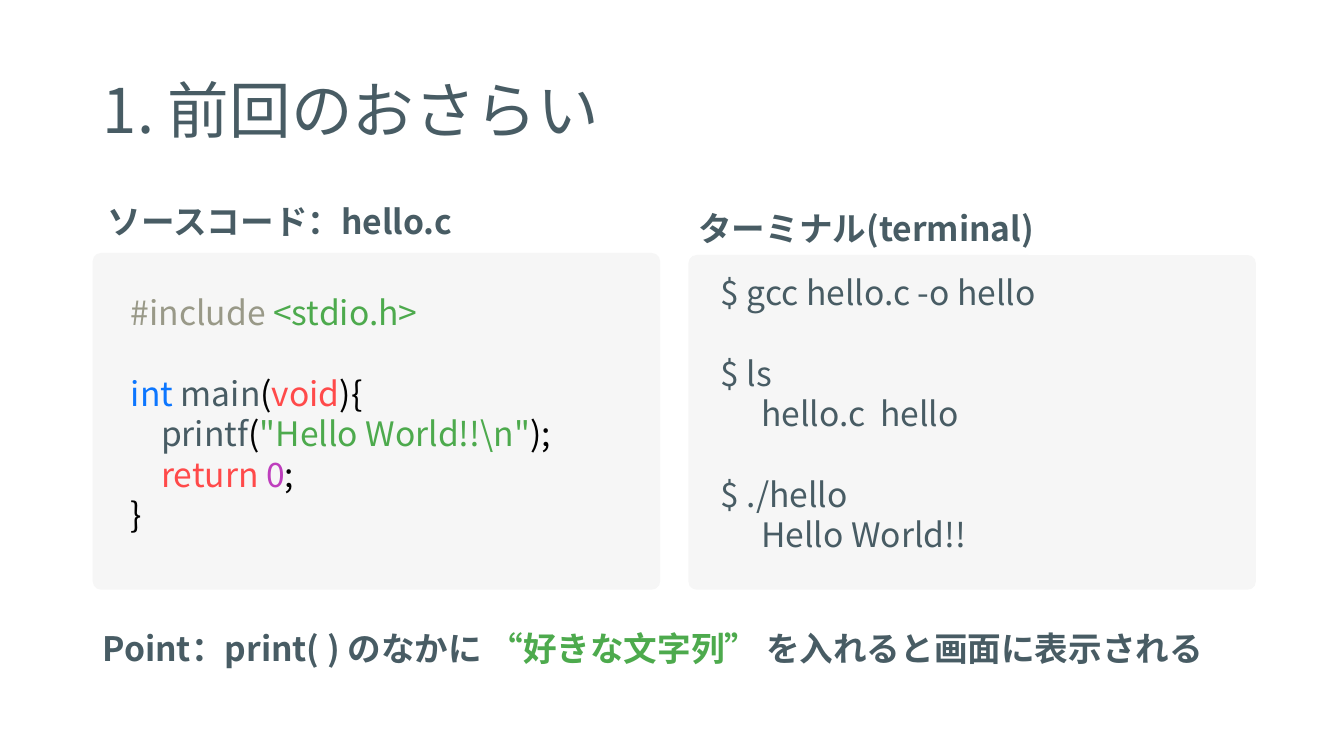
from pptx import Presentation
from pptx.dml.color import RGBColor
from pptx.enum.shapes import MSO_SHAPE
from pptx.enum.text import MSO_ANCHOR, MSO_AUTO_SIZE, PP_ALIGN
from pptx.oxml.ns import qn
from pptx.util import Pt

SLATE = RGBColor(0x48, 0x5C, 0x64)
PANEL = RGBColor(0xF6, 0xF6, 0xF6)
GRAY = RGBColor(0x99, 0x99, 0x88)
GREEN = RGBColor(0x4D, 0xAA, 0x4D)
BLUE = RGBColor(0x0C, 0x76, 0xFF)
RED = RGBColor(0xFF, 0x4A, 0x4A)
PURPLE = RGBColor(0xBE, 0x3E, 0xBD)
BLACK = RGBColor(0, 0, 0)

FONT = "Noto Sans CJK JP"
TITLE_SIZE, BODY_SIZE = 44, 24
LINE_GAP = 28.8
CODE_INDENT, OUTPUT_INDENT = 21.6, 29

TITLE = [(0, 0, [("1. 前回のおさらい", SLATE)])]
SOURCE_CODE = [
    (0, 0, [("#include ", GRAY), ("<stdio.h>", GREEN)]),
    (0, LINE_GAP, [("int ", BLUE), ("main", SLATE), ("(", BLACK), ("void", RED), ("){", BLACK)]),
    (CODE_INDENT, 0, [("printf", SLATE), ("(", BLACK), ('"Hello World!!\\n"', GREEN), (");", BLACK)]),
    (CODE_INDENT, 0, [("return ", RED), ("0", PURPLE), (";", BLACK)]),
    (0, 0, [("}", BLACK)]),
]
TERMINAL = [
    (0, 0, [("$ gcc hello.c -o hello", SLATE)]),
    (0, LINE_GAP, [("$ ls", SLATE)]),
    (OUTPUT_INDENT, 0, [("hello.c  hello", SLATE)]),
    (0, LINE_GAP, [("$ ./hello", SLATE)]),
    (OUTPUT_INDENT, 0, [("Hello World!!", SLATE)]),
]
SOURCE_HEADING = [(0, 0, [("ソースコード：hello.c", SLATE)])]
TERMINAL_HEADING = [(0, 0, [("ターミナル(terminal)", SLATE)])]
POINT = [(0, 0, [
    ("Point：print( ) のなかに ", SLATE),
    ("“好きな文字列” ", GREEN),
    ("を入れると画面に表示される", SLATE),
])]

TITLE_BOX = (66.24, 28.8, 828, 104.4)
PANELS = [(66.24, 180.72, 405.36, 240.48), (491.76, 182.16, 405.36, 239.04)]
TEXT_BOXES = [
    ((86.4, 205.2, 373.68, 181.44), SOURCE_CODE, False),
    ((69.84, 139.68, 333.36, 36), SOURCE_HEADING, True),
    ((507.6, 190.8, 373.68, 210.96), TERMINAL, False),
    ((491.76, 144.72, 333.36, 36), TERMINAL_HEADING, True),
    ((66.24, 444.96, 828, 36), POINT, True),
]


def set_attributes(target, values):
    """Set each named attribute of the target."""
    for name, value in values.items():
        setattr(target, name, value)


def write_lines(text_frame, lines, size, bold):
    """Write coloured runs, one paragraph for each line."""
    for index, (indent, gap, runs) in enumerate(lines):
        paragraph = text_frame.add_paragraph() if index else text_frame.paragraphs[0]
        set_attributes(paragraph, {"alignment": PP_ALIGN.LEFT, "space_before": Pt(gap)})
        paragraph._p.get_or_add_pPr().set("marL", str(Pt(indent)))
        for text, color in runs:
            run = paragraph.add_run()
            run.text = text
            set_attributes(run.font, {"name": FONT, "size": Pt(size), "bold": bold})
            run.font.color.rgb = color
            east_asian = run._r.get_or_add_rPr().makeelement(qn("a:ea"), {"typeface": FONT})
            run._r.rPr.find(qn("a:latin")).addnext(east_asian)


def main():
    """Build the slide and save it."""
    presentation = Presentation()
    set_attributes(presentation, {"slide_width": Pt(960), "slide_height": Pt(540)})
    slide = presentation.slides.add_slide(presentation.slide_layouts[5])

    title = slide.shapes.title
    set_attributes(title, dict(zip(("left", "top", "width", "height"), map(Pt, TITLE_BOX))))
    set_attributes(title.text_frame, {
        "word_wrap": True,
        "vertical_anchor": MSO_ANCHOR.MIDDLE,
        "auto_size": MSO_AUTO_SIZE.NONE,
    })
    write_lines(title.text_frame, TITLE, TITLE_SIZE, False)
    title.text_frame.paragraphs[0].line_spacing = 0.9

    for box in PANELS:
        panel = slide.shapes.add_shape(MSO_SHAPE.ROUNDED_RECTANGLE, *map(Pt, box))
        panel.adjustments[0] = 0.025
        panel.shadow.inherit = False
        panel.fill.solid()
        panel.fill.fore_color.rgb = PANEL
        panel.line.fill.background()

    for box, lines, bold in TEXT_BOXES:
        text_frame = slide.shapes.add_textbox(*map(Pt, box)).text_frame
        set_attributes(text_frame, {"word_wrap": True, "auto_size": MSO_AUTO_SIZE.SHAPE_TO_FIT_TEXT})
        write_lines(text_frame, lines, BODY_SIZE, bold)

    presentation.save("out.pptx")


main()
